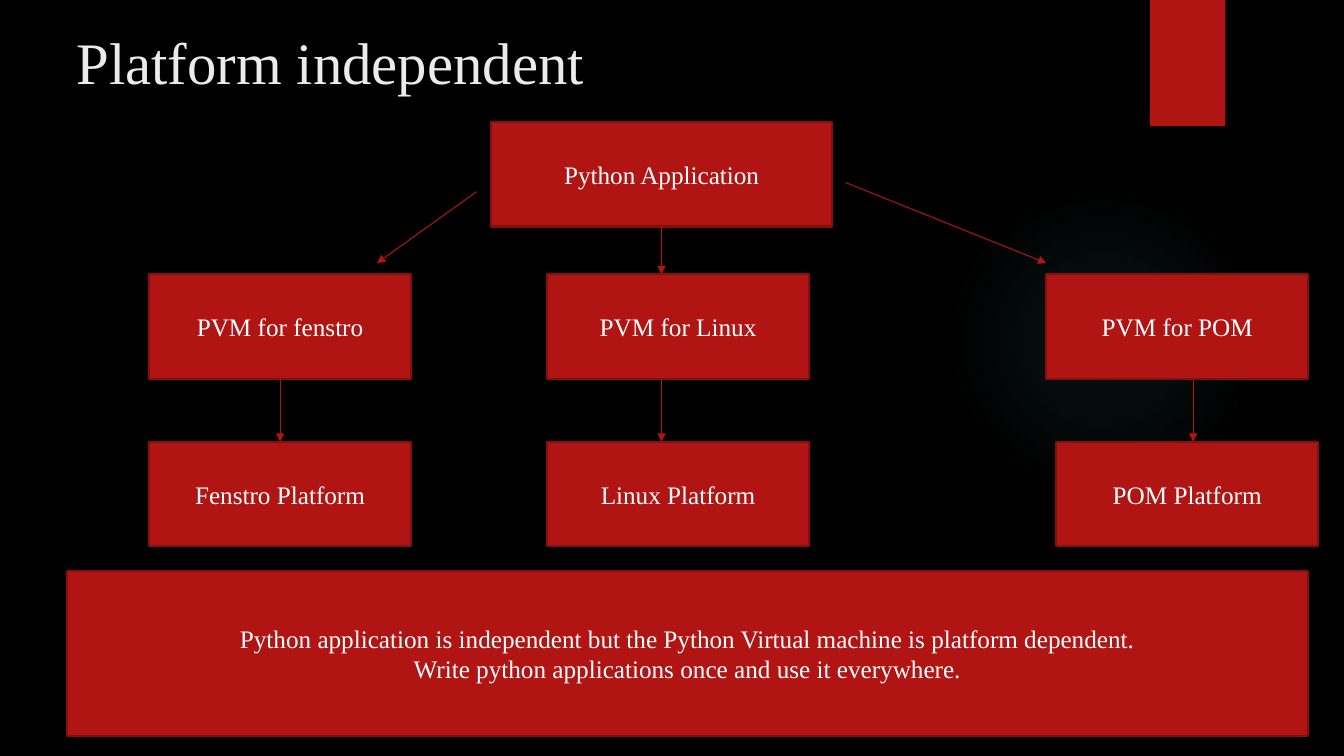
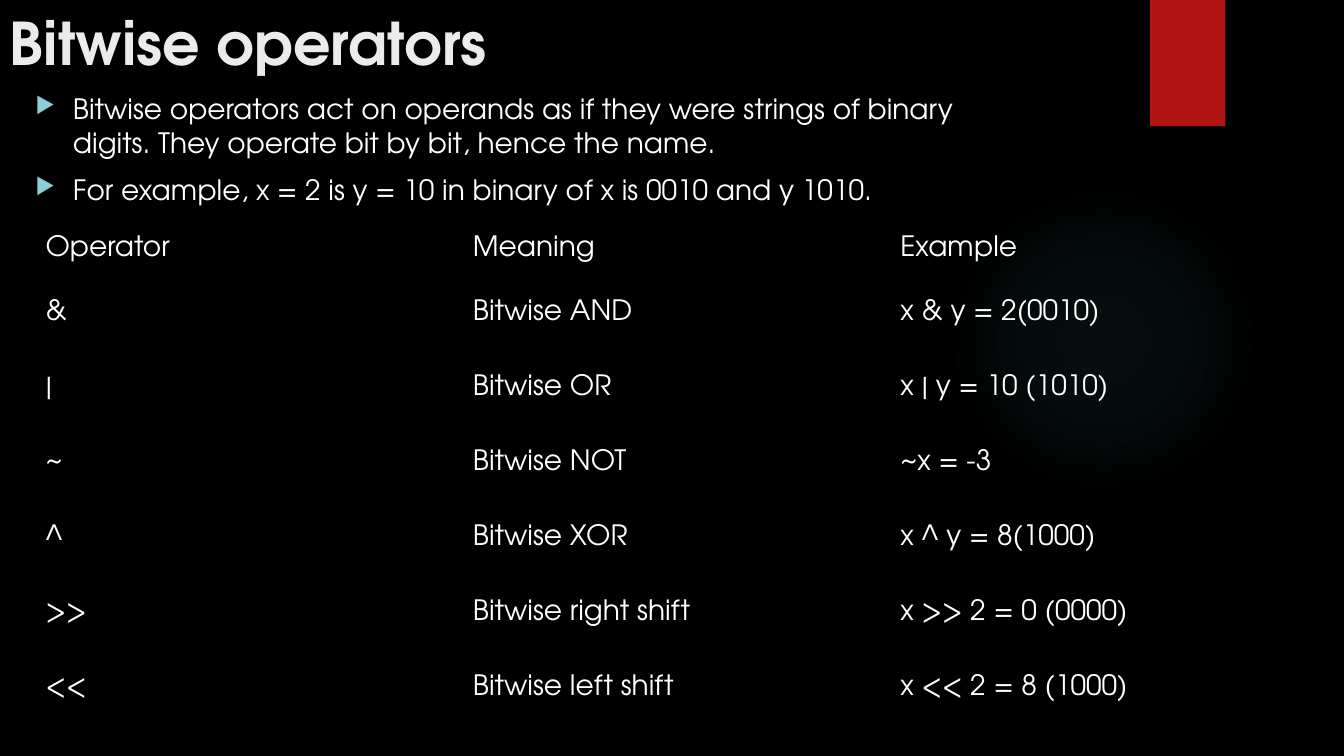
from dataclasses import dataclass
from typing import NamedTuple, Optional

from pptx import Presentation
from pptx.dml.color import RGBColor
from pptx.enum import shapes, text
from pptx.oxml import parse_xml
from pptx.oxml.ns import nsdecls, qn
from pptx import util as u


@dataclass(frozen=True)
class Theme:
    background: str = "000000"
    accent: str = "B01513"
    outline: str = "82100E"
    glow: str = "50B9C1"
    bullet: str = "8AD0D6"
    title: str = "EBEBEB"
    body: str = "FFFFFF"
    serif: str = "Times New Roman"
    sans: str = "TeX Gyre Adventor"
    title_size: int = 42
    body_size: int = 20
    box_size: int = 18


THEME = Theme()
NO_GRID_STYLE = "{2D5ABB26-0587-4C30-8999-92F81FD0307C}"


class Area(NamedTuple):
    """Left, top, width and height in centimetres."""
    left: float
    top: float
    width: float
    height: float

    def lengths(self) -> list:
        return [u.Cm(value) for value in self]


class Box(NamedTuple):
    key: str
    area: Area
    lines: list[str]


class Arrow(NamedTuple):
    """Ends in centimetres; source and target name the boxes it is joined to."""
    start: tuple[float, float]
    end: tuple[float, float]
    source: Optional[str] = None
    target: Optional[str] = None


PVM_TOP, PLATFORM_TOP = 6.91, 11.13
NODE_WIDTH, NODE_HEIGHT = 6.6, 2.64
PVM_BOTTOM = PVM_TOP + NODE_HEIGHT
TRUNK_X = 16.67


def node(key: str, left: float, top: float, label: str) -> Box:
    return Box(key, Area(left, top, NODE_WIDTH, NODE_HEIGHT), [label])


BOXES = [
    Box("application", Area(12.37, 3.07, 8.61, NODE_HEIGHT), ["Python Application"]),
    node("pvm_fenstro", 3.76, PVM_TOP, "PVM for fenstro"),
    node("pvm_linux", 13.79, PVM_TOP, "PVM for Linux"),
    node("pvm_pom", 26.37, PVM_TOP, "PVM for POM"),
    node("fenstro", 3.76, PLATFORM_TOP, "Fenstro Platform"),
    node("linux", 13.79, PLATFORM_TOP, "Linux Platform"),
    node("pom", 26.62, PLATFORM_TOP, "POM Platform"),
    Box("summary", Area(1.68, 14.38, 31.29, 4.17), [
        "Python application is independent but the Python Virtual machine is platform dependent.",
        "Write python applications once and use it everywhere.",
    ]),
]

ARROWS = [
    Arrow((12.01, 4.83), (9.5, 6.63)),
    Arrow((21.31, 4.6), (26.37, 6.63)),
    Arrow((TRUNK_X, 5.71), (TRUNK_X, PVM_TOP), source="application"),
    Arrow((7.06, PVM_BOTTOM), (7.06, PLATFORM_TOP), "pvm_fenstro", "fenstro"),
    Arrow((TRUNK_X, PVM_BOTTOM), (TRUNK_X, PLATFORM_TOP)),
    Arrow((30.07, PVM_BOTTOM), (30.07, PLATFORM_TOP)),
]

BITWISE_POINTS = [
    "Bitwise operators act on operands as if they were strings of binary digits. "
    "They operate bit by bit, hence the name.",
    "For example, x = 2 is y = 10 in binary of x is 0010 and y 1010.",
]

OPERATORS = [
    ("Operator", "Meaning", "Example"),
    ("&", "Bitwise AND", "x & y = 2(0010)"),
    ("|", "Bitwise OR", "x | y = 10 (1010)"),
    ("~", "Bitwise NOT", "~x = -3"),
    ("^", "Bitwise XOR", "x ^ y = 8(1000)"),
    (">>", "Bitwise right shift", "x >> 2 = 0 (0000)"),
    ("<<", "Bitwise left shift", "x << 2 = 8 (1000)"),
]


def rgb(value: str) -> RGBColor:
    return RGBColor.from_string(value)


def add_bullet(paragraph) -> None:
    properties = paragraph._p.get_or_add_pPr()
    indent = u.Cm(0.95)
    properties.set("marL", str(indent))
    properties.set("indent", str(-indent))
    for xml in (
        f'<a:buClr {nsdecls("a")}><a:srgbClr val="{THEME.bullet}"/></a:buClr>',
        f'<a:buSzPct {nsdecls("a")} val="80000"/>',
        f'<a:buChar {nsdecls("a")} char="▶"/>',
    ):
        properties.append(parse_xml(xml))


def write_text(frame, lines: list[str], *, font: str, size: int, color: str = THEME.body,
               bold: bool = False, align=text.PP_ALIGN.LEFT, anchor=text.MSO_ANCHOR.MIDDLE,
               bullets: bool = False, gap: int = 0) -> None:
    frame.word_wrap = True
    frame.vertical_anchor = anchor
    for index, line in enumerate(lines):
        paragraph = frame.add_paragraph() if index else frame.paragraphs[0]
        paragraph.alignment = align
        if index and gap:
            paragraph.space_before = u.Pt(gap)
        if bullets:
            add_bullet(paragraph)
        run = paragraph.add_run()
        run.text = line
        run.font.name = font
        run.font.size = u.Pt(size)
        run.font.bold = bold
        run.font.color.rgb = rgb(color)


def add_plain_shape(slide, kind, area: Area, fill: Optional[str] = None,
                    outline: Optional[str] = None):
    shape = slide.shapes.add_shape(kind, *area.lengths())
    shape.shadow.inherit = False
    if fill:
        shape.fill.solid()
        shape.fill.fore_color.rgb = rgb(fill)
    else:
        shape.fill.background()
    if outline:
        shape.line.color.rgb = rgb(outline)
        shape.line.width = u.Pt(1.5)
    else:
        shape.line.fill.background()
    return shape


def add_glow(slide) -> None:
    """Draw the faint round light, fading out towards its edge."""
    glow = add_plain_shape(slide, shapes.MSO_SHAPE.OVAL, Area(23.9, 4.65, 7.82, 7.82))
    stops = "".join(
        f'<a:gs pos="{position * 1000}"><a:srgbClr val="{THEME.glow}">'
        f'<a:alpha val="{alpha * 1000}"/></a:srgbClr></a:gs>'
        for position, alpha in ((0, 7), (36, 6), (69, 0))
    )
    gradient = parse_xml(
        f'<a:gradFill {nsdecls("a")} rotWithShape="1"><a:gsLst>{stops}</a:gsLst>'
        '<a:path path="circle"><a:fillToRect l="50000" t="50000" r="50000" b="50000"/>'
        '</a:path></a:gradFill>'
    )
    properties = glow.element.spPr
    properties.replace(properties.find(qn("a:noFill")), gradient)


def add_base_slide(deck, title: str, area: Area, font: str, bold: bool = False):
    """Add a slide with the shared glow, ribbon and title."""
    slide = deck.slides.add_slide(deck.slide_layouts[6])
    add_glow(slide)
    add_plain_shape(slide, shapes.MSO_SHAPE.RECTANGLE, Area(28.98, 0, 1.9, 3.18), THEME.accent)
    heading = slide.shapes.add_textbox(*area.lengths())
    write_text(heading.text_frame, [title], font=font, size=THEME.title_size,
               color=THEME.title, bold=bold)
    return slide


def add_arrow(slide, arrow: Arrow, boxes: dict) -> None:
    ends = [u.Cm(value) for value in (*arrow.start, *arrow.end)]
    connector = slide.shapes.add_connector(shapes.MSO_CONNECTOR.STRAIGHT, *ends)
    if arrow.source:
        connector.begin_connect(boxes[arrow.source], 2)
    if arrow.target:
        connector.end_connect(boxes[arrow.target], 0)
    connector.line.color.rgb = rgb(THEME.accent)
    connector.line.width = u.Pt(0.75)
    connector.line._get_or_add_ln().append(
        parse_xml(f'<a:tailEnd {nsdecls("a")} type="triangle"/>'))
    connector._element.spPr.append(parse_xml(f'<a:effectLst {nsdecls("a")}/>'))


def add_operator_table(slide, area: Area) -> None:
    graphic = slide.shapes.add_table(len(OPERATORS), len(OPERATORS[0]), *area.lengths())
    graphic._element.find(".//" + qn("a:tableStyleId")).text = NO_GRID_STYLE
    table = graphic.table
    table.first_row = table.horz_banding = False
    for row_index, (row, values) in enumerate(zip(table.rows, OPERATORS)):
        row.height = u.Cm(1.89 if row_index else 1.22)
        for cell, value in zip(row.cells, values):
            cell.fill.background()
            cell.margin_left = cell.margin_right = u.Cm(0.51)
            cell.margin_top = cell.margin_bottom = u.Cm(0.25)
            cell.vertical_anchor = text.MSO_ANCHOR.MIDDLE
            write_text(cell.text_frame, [value], font=THEME.sans, size=THEME.body_size)


def build_platform_slide(deck) -> None:
    slide = add_base_slide(deck, "Platform independent", Area(1.68, 0.36, 26.14, 2.34),
                           THEME.serif)
    drawn = {}
    for box in BOXES:
        drawn[box.key] = add_plain_shape(slide, shapes.MSO_SHAPE.RECTANGLE, box.area,
                                         THEME.accent, THEME.outline)
        write_text(drawn[box.key].text_frame, box.lines, font=THEME.serif,
                   size=THEME.box_size, align=text.PP_ALIGN.CENTER)
    for arrow in ARROWS:
        add_arrow(slide, arrow, drawn)


def build_bitwise_slide(deck) -> None:
    slide = add_base_slide(deck, "Bitwise operators", Area(0, 0, 26.14, 2.11),
                           THEME.sans, bold=True)
    points = slide.shapes.add_textbox(*Area(0.64, 2.18, 24.84, 3.58).lengths())
    write_text(points.text_frame, BITWISE_POINTS, font=THEME.sans, size=THEME.body_size,
               anchor=text.MSO_ANCHOR.TOP, bullets=True, gap=10)
    add_operator_table(slide, Area(0.64, 5.59, 32.31, 12.56))


def main() -> None:
    deck = Presentation()
    deck.slide_width, deck.slide_height = u.Cm(33.87), u.Cm(19.05)
    backdrop = deck.slide_master.background.fill
    backdrop.solid()
    backdrop.fore_color.rgb = rgb(THEME.background)
    build_platform_slide(deck)
    build_bitwise_slide(deck)
    deck.save("out.pptx")


if __name__ == "__main__":
    main()
